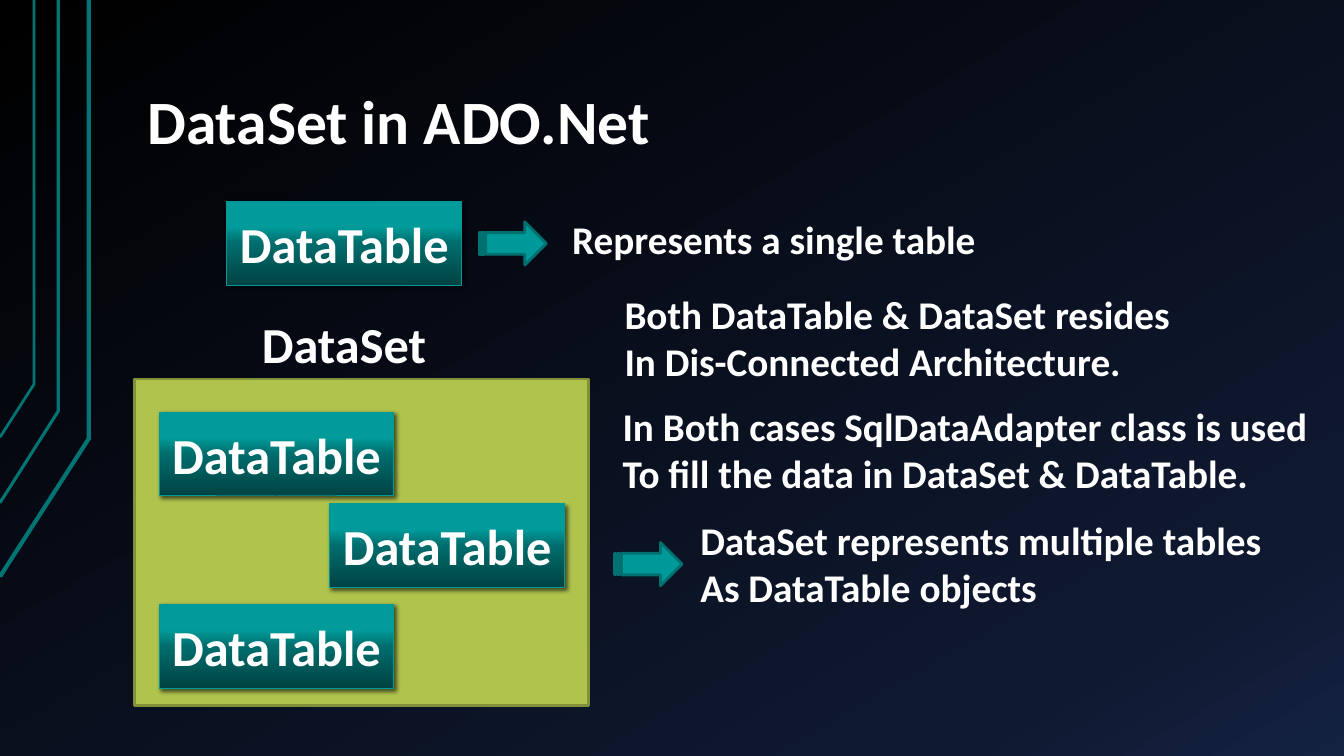
"""Builds the slide on DataSet and DataTable in ADO.Net."""
from typing import NamedTuple

from lxml import etree
from pptx import Presentation
from pptx import util as u
from pptx.dml.color import RGBColor
from pptx.enum import shapes, text
from pptx.oxml import parse_xml
from pptx.oxml.ns import nsdecls, qn

HUES = {"white": "FFFFFF", "teal": "009999", "edge": "007171", "rail": "007373",
        "lime": "AFC34D", "olive": "819039"}
NIGHT = ((0, "000000"), (85, "0F1931"), (100, "142242"))
GLOSS = ((0, "004343"), (50, "006C6C"), (70, "019B9B"), (100, "009999"))
FONT = "Calibri"
SHAPE, ALIGN, ANCHOR = shapes.MSO_SHAPE, text.PP_ALIGN, text.MSO_ANCHOR


class Rail(NamedTuple):
    x: float
    bend: float
    foot: float
    width: float


class Spot(NamedTuple):
    x: float
    y: float


class Label(NamedTuple):
    x: float
    y: float
    width: float
    height: float
    size: int
    lines: tuple[str, ...]


RAILS = (Rail(2.24, 11.05, 14.53, 3), Rail(1.47, 10.36, 12.67, 2.25),
         Rail(0.86, 9.68, 11.02, 2))
TABLES = (Spot(5.72, 5.08), Spot(4.01, 10.39), Spot(8.31, 12.7), Spot(4.01, 15.24))
ARROWS = (Spot(12.07, 5.59), Spot(15.49, 13.67))
LABELS = (
    Label(14.17, 5.31, 10.8, 1.45, 28, ("Represents a single table",)),
    Label(6.35, 7.77, 4.7, 1.8, 36, ("DataSet",)),
    Label(17.4, 12.88, 14.83, 2.64, 28,
          ("DataSet represents multiple tables", "As DataTable objects")),
    Label(15.49, 7.19, 14.43, 2.64, 28,
          ("Both DataTable & DataSet resides", "In Dis-Connected Architecture.")),
    Label(15.44, 10.01, 17.98, 2.64, 28,
          ("In Both cases SqlDataAdapter class is used",
           "To fill the data in DataSet & DataTable.")),
)


def hue(name: str) -> RGBColor:
    return RGBColor.from_string(HUES[name])


def blend(fill, root, stops: tuple, angle: int) -> None:
    fill.gradient()
    fill.gradient_angle = 360 - angle
    bands = root.find(".//" + qn("a:gsLst"))
    for old in list(bands):
        bands.remove(old)
    for place, shade in stops:
        stop = etree.SubElement(bands, qn("a:gs"), pos=str(place * 1000))
        etree.SubElement(stop, qn("a:srgbClr"), val=shade)


def write(frame, lines: tuple[str, ...], size: int, align=ALIGN.LEFT) -> None:
    frame.text = "\n".join(lines)
    for par in frame.paragraphs:
        par.alignment = align
        font = par.font
        font.name, font.size, font.bold = FONT, u.Pt(size), True
        font.color.rgb = hue("white")


def trim(shape, line: str, width: float) -> None:
    shape.shadow.inherit = False
    shape.line.color.rgb = hue(line)
    shape.line.width = u.Pt(width)


def block(slide, kind, spot: Spot, width: float, height: float,
          fill: str, line: str, weight: float):
    shape = slide.shapes.add_shape(kind, u.Cm(spot.x), u.Cm(spot.y),
                                   u.Cm(width), u.Cm(height))
    trim(shape, line, weight)
    shape.fill.solid()
    shape.fill.fore_color.rgb = hue(fill)
    return shape


def rail(slide, item: Rail) -> None:
    pen = slide.shapes.build_freeform(0, u.Cm(item.foot))
    pen.add_line_segments([(u.Cm(item.x), u.Cm(item.bend)), (u.Cm(item.x), 0)],
                          close=False)
    shape = pen.convert_to_shape()
    shape.fill.background()
    trim(shape, "rail", item.width)


def table(slide, spot: Spot) -> None:
    box = block(slide, SHAPE.RECTANGLE, spot, 5.92, 2.11, "teal", "teal", 0.75)
    blend(box.fill, box.element, GLOSS, 270)
    box.element.find(".//" + qn("a:effectLst")).append(parse_xml(
        f'<a:outerShdw {nsdecls("a")} blurRad="{u.Pt(3)}" dist="{u.Pt(2)}" '
        'dir="2700000" algn="tl" rotWithShape="0"><a:srgbClr val="000000">'
        '<a:alpha val="60000"/></a:srgbClr></a:outerShdw>'))
    box.text_frame.vertical_anchor = ANCHOR.MIDDLE
    write(box.text_frame, ("DataTable",), 36, ALIGN.CENTER)


def label(slide, item: Label) -> None:
    box = slide.shapes.add_textbox(u.Cm(item.x), u.Cm(item.y),
                                   u.Cm(item.width), u.Cm(item.height))
    frame = box.text_frame
    frame.word_wrap = False
    frame.auto_size = text.MSO_AUTO_SIZE.SHAPE_TO_FIT_TEXT
    write(frame, item.lines, item.size)


def head(slide) -> None:
    title = slide.shapes.title
    title.left, title.top = u.Cm(3.38), u.Cm(0.76)
    title.width, title.height = u.Cm(28.78), u.Cm(3.4)
    frame = title.text_frame
    frame.margin_left = frame.margin_right = u.Cm(0.33)
    frame.margin_top = frame.margin_bottom = u.Cm(0.18)
    frame.vertical_anchor = ANCHOR.BOTTOM
    frame.auto_size = text.MSO_AUTO_SIZE.NONE
    write(frame, ("DataSet in ADO.Net",), 44)
    frame.paragraphs[0].line_spacing = 0.9


def main() -> None:
    deck = Presentation()
    deck.slide_width, deck.slide_height = u.Cm(33.87), u.Cm(19.05)
    slide = deck.slides.add_slide(deck.slide_layouts[5])
    blend(slide.background.fill, slide.element, NIGHT, 60)
    for item in RAILS:
        rail(slide, item)
    head(slide)
    block(slide, SHAPE.RECTANGLE, Spot(3.4, 9.55), 11.43, 8.23, "lime", "olive", 2)
    for spot in TABLES:
        table(slide, spot)
    for spot in ARROWS:
        block(slide, SHAPE.STRIPED_RIGHT_ARROW, spot, 1.7, 1.09, "teal", "edge", 2)
    for item in LABELS:
        label(slide, item)
    deck.save("out.pptx")


main()
